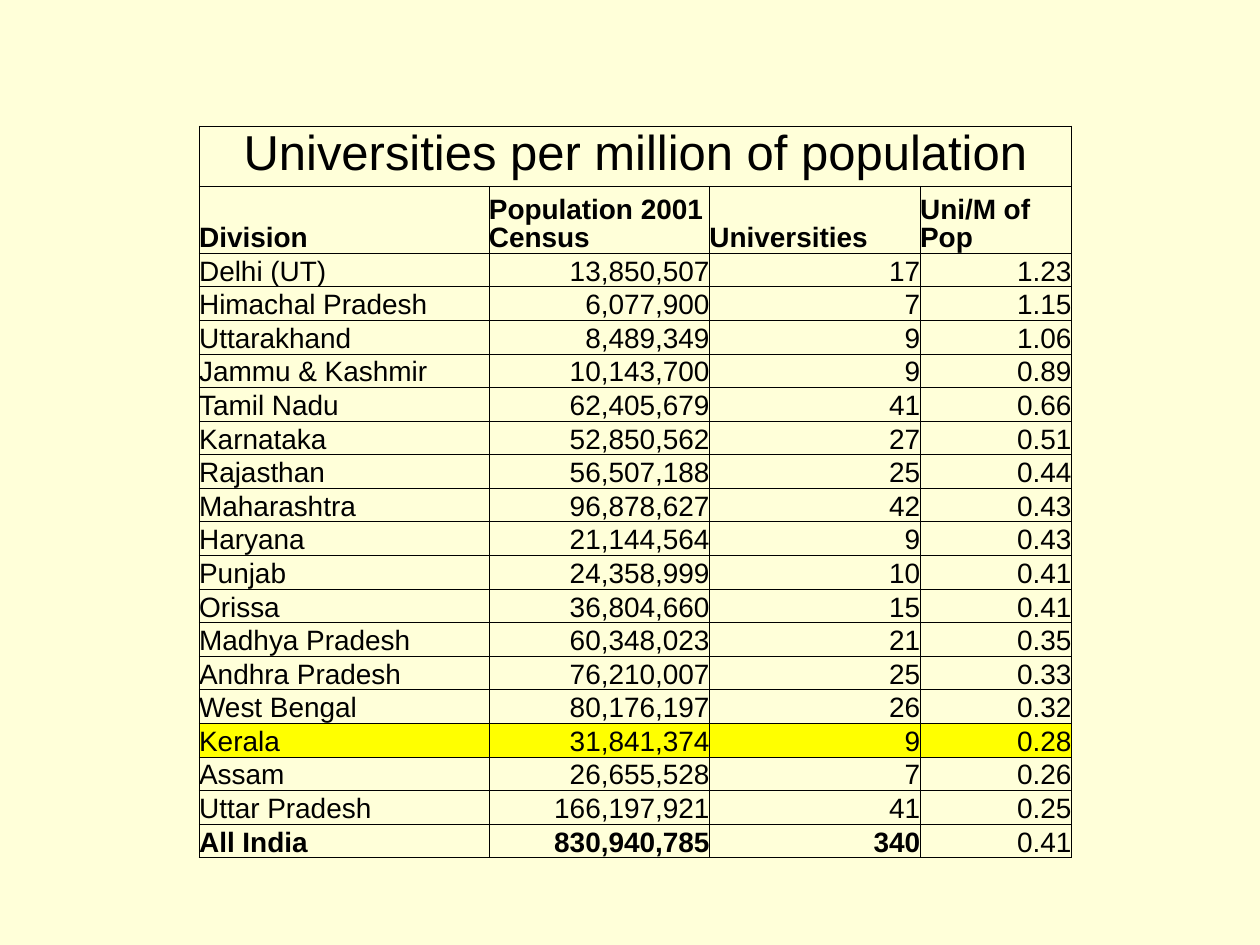
"""Build a slide with a table of universities per million of population by Indian state."""
from dataclasses import dataclass

from lxml.etree import SubElement
from pptx import Presentation
from pptx.dml.color import RGBColor
from pptx.enum.text import MSO_ANCHOR as Anchor, PP_ALIGN as Align
from pptx.oxml.ns import qn
from pptx.util import Pt

FONT = "Arial"
BLACK, CREAM, YELLOW = "000000", "FFFFD9", "FFFF00"
TITLE = "Universities per million of population"
HEADERS = ("Division", "Population 2001 Census", "Universities", "Uni/M of Pop")
COLUMN_WIDTHS = (165.6, 126, 120.4, 86.4)
TITLE_HEIGHT, HEADER_HEIGHT, BODY_HEIGHT = 34.4, 38.3, 19.2
TABLE_LEFT, TABLE_TOP = 113.8, 72


@dataclass(frozen=True)
class Division:
    name: str
    population: int
    universities: int
    per_million: float
    is_total: bool = False
    fill: str | None = None

    def texts(self) -> tuple[str, ...]:
        return (self.name, f"{self.population:,}", str(self.universities), f"{self.per_million:.2f}")


@dataclass(frozen=True)
class CellStyle:
    size: float = 16
    bold: bool = False
    align: Align = Align.LEFT
    anchor: Anchor = Anchor.BOTTOM
    fill: str | None = None


DIVISIONS = (
    Division("Delhi (UT)", 13850507, 17, 1.23),
    Division("Himachal Pradesh", 6077900, 7, 1.15),
    Division("Uttarakhand", 8489349, 9, 1.06),
    Division("Jammu & Kashmir", 10143700, 9, 0.89),
    Division("Tamil Nadu", 62405679, 41, 0.66),
    Division("Karnataka", 52850562, 27, 0.51),
    Division("Rajasthan", 56507188, 25, 0.44),
    Division("Maharashtra", 96878627, 42, 0.43),
    Division("Haryana", 21144564, 9, 0.43),
    Division("Punjab", 24358999, 10, 0.41),
    Division("Orissa", 36804660, 15, 0.41),
    Division("Madhya Pradesh", 60348023, 21, 0.35),
    Division("Andhra Pradesh", 76210007, 25, 0.33),
    Division("West Bengal", 80176197, 26, 0.32),
    Division("Kerala", 31841374, 9, 0.28, fill=YELLOW),
    Division("Assam", 26655528, 7, 0.26),
    Division("Uttar Pradesh", 166197921, 41, 0.25),
    Division("All India", 830940785, 340, 0.41, is_total=True),
)


def set_color(fill, color: str) -> None:
    fill.solid()
    fill.fore_color.rgb = RGBColor.from_string(color)


def format_cell(cell, fill: str | None) -> None:
    cell.margin_left = cell.margin_right = cell.margin_top = cell.margin_bottom = Pt(0)
    properties = cell._tc.get_or_add_tcPr()
    for side in ("lnL", "lnR", "lnT", "lnB"):
        line = SubElement(properties, qn(f"a:{side}"), w=str(Pt(0.5)))
        SubElement(SubElement(line, qn("a:solidFill")), qn("a:srgbClr"), val=BLACK)
    if fill:
        set_color(cell.fill, fill)
    else:
        cell.fill.background()


def write_cell(cell, text: str, style: CellStyle) -> None:
    format_cell(cell, style.fill)
    cell.vertical_anchor = style.anchor
    paragraph = cell.text_frame.paragraphs[0]
    paragraph.alignment = style.align
    paragraph.line_spacing = 0.9
    space_before = SubElement(paragraph._p.get_or_add_pPr(), qn("a:spcBef"))
    SubElement(space_before, qn("a:spcPct"), val="20000")
    run = paragraph.add_run()
    run.text = text
    run.font.name = FONT
    run.font.size = Pt(style.size)
    run.font.bold = style.bold
    set_color(run.font.fill, BLACK)


def add_division_table(slide) -> None:
    heights = [TITLE_HEIGHT, HEADER_HEIGHT] + [BODY_HEIGHT] * len(DIVISIONS)
    table = slide.shapes.add_table(
        len(heights), len(COLUMN_WIDTHS), Pt(TABLE_LEFT), Pt(TABLE_TOP),
        Pt(sum(COLUMN_WIDTHS)), Pt(sum(heights))).table
    table.first_row = table.horz_banding = False
    for column, width in zip(table.columns, COLUMN_WIDTHS):
        column.width = Pt(width)
    for row, height in zip(table.rows, heights):
        row.height = Pt(height)

    title_cell, *spanned_cells = table.rows[0].cells
    title_cell.merge(spanned_cells[-1])
    write_cell(title_cell, TITLE, CellStyle(size=28, align=Align.CENTER, anchor=Anchor.MIDDLE))
    for cell in spanned_cells:
        format_cell(cell, None)
    for cell, header in zip(table.rows[1].cells, HEADERS):
        write_cell(cell, header, CellStyle(bold=True))
    last_column = len(COLUMN_WIDTHS) - 1
    for row_index, division in enumerate(DIVISIONS, start=2):
        for column_index, text in enumerate(division.texts()):
            write_cell(table.cell(row_index, column_index), text, CellStyle(
                bold=division.is_total and column_index < last_column,
                align=Align.RIGHT if column_index else Align.LEFT,
                fill=division.fill))


def main() -> None:
    presentation = Presentation()
    presentation.slide_width, presentation.slide_height = Pt(720), Pt(540)
    slide = presentation.slides.add_slide(presentation.slide_layouts[6])
    set_color(slide.background.fill, CREAM)
    add_division_table(slide)
    presentation.save("out.pptx")


if __name__ == "__main__":
    main()
